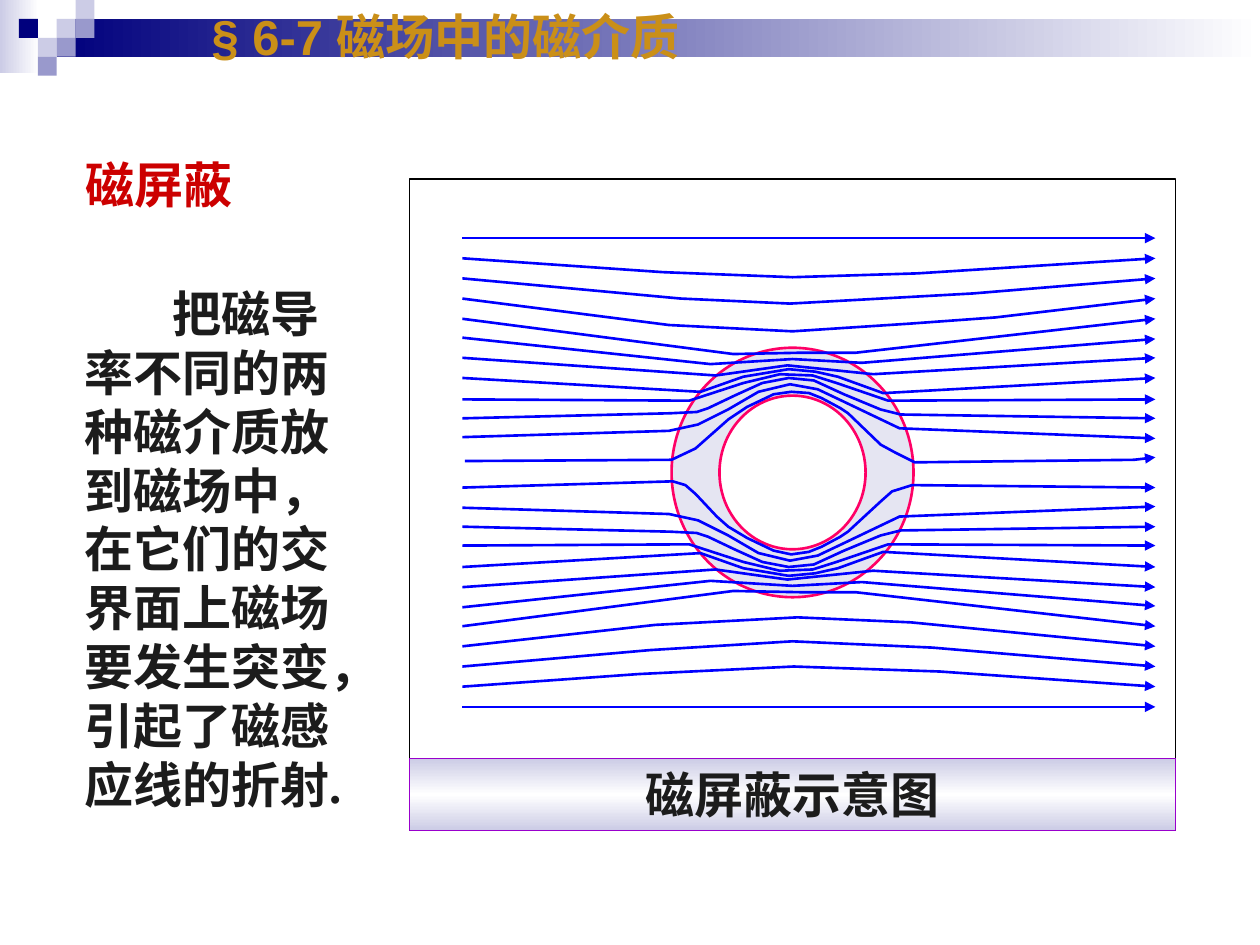
"""Builds a lecture slide on magnetic shielding with a field-line diagram."""
import copy

import pptx
import pptx.dml.color
import pptx.enum.shapes
import pptx.enum.text
import pptx.oxml.ns
import pptx.util
from lxml import etree

WIDTH, HEIGHT = 10, 7.5
HEADING = "§ 6-7 磁场中的磁介质"
TOPIC = "磁屏蔽"
EXPLANATION = "把磁导率不同的两种磁介质放到磁场中，在它们的交界面上磁场要发生突变，引起了磁感应线的折射."
CAPTION = "磁屏蔽示意图"

COLORS = {
    "navy": "00007D", "violet": "9999CC", "lilac": "CCCCE6", "white": "FFFFFF",
    "black": "000000", "red": "CC0000", "ink": "1C1C1C", "gold": "CA8F18",
    "field": "0000FF", "ring": "FF0066", "purple": "9900CC",
}

TILE = 0.15
TILES = [
    (3, 1, "lilac"), (4, 0, "lilac"), (4, 1, "violet"), (2, 2, "lilac"),
    (1, 1, "navy"), (3, 2, "violet"), (2, 3, "violet"),
]

LEFT, RIGHT = 3.67, 9.17
OUTER_LINE = [(LEFT, 1.89), (RIGHT, 1.89)]
MIRRORED_LINES = [
    [(LEFT, 2.53), (5.82, 2.81), (6.35, 2.8), (6.79, 2.8), (RIGHT, 2.53)],
    [(LEFT, 2.68), (5.64, 2.89), (6.29, 2.85), (6.84, 2.88), (RIGHT, 2.69)],
    [(LEFT, 2.84), (5.68, 2.98), (6.25, 2.9), (6.93, 2.97), (RIGHT, 2.84)],
    [(LEFT, 3), (5.56, 3.11), (5.9, 2.99), (6.26, 2.93), (6.47, 2.95),
     (6.65, 2.99), (7.01, 3.12), (RIGHT, 3)],
    [(LEFT, 3.17), (5.47, 3.18), (5.9, 3.04), (6.19, 2.97), (6.45, 2.98),
     (6.64, 3.04), (7.05, 3.18), (RIGHT, 3.17)],
    [(LEFT, 3.32), (5.32, 3.28), (5.53, 3.27), (5.62, 3.24), (5.83, 3.14),
     (6.05, 3.04), (6.26, 3), (6.46, 3.02), (6.7, 3.13), (6.99, 3.25),
     (7.15, 3.29), (RIGHT, 3.32)],
    [(LEFT, 3.47), (5.31, 3.42), (5.54, 3.37), (5.78, 3.25), (6.02, 3.11),
     (6.27, 3.05), (6.49, 3.09), (6.68, 3.18), (7.14, 3.4), (RIGHT, 3.48)],
]
UPPER_LINES = [
    [(LEFT, 2.05), (5.26, 2.16), (6.29, 2.2), (7.28, 2.17), (RIGHT, 2.05)],
    [(LEFT, 2.21), (5.4, 2.37), (6.27, 2.41), (7.72, 2.33), (RIGHT, 2.21)],
    [(LEFT, 2.37), (5.31, 2.58), (6.29, 2.63), (7.21, 2.57), (7.9, 2.52), (RIGHT, 2.37)],
    [(3.69, 3.66), (5.33, 3.65), (5.52, 3.56), (5.69, 3.41), (5.78, 3.33),
     (5.93, 3.23), (6.14, 3.13), (6.28, 3.11), (6.42, 3.12), (6.52, 3.16),
     (6.67, 3.24), (6.73, 3.28), (6.99, 3.53), (7.1, 3.59), (7.26, 3.67),
     (9, 3.65), (RIGHT, 3.63)],
]
LOWER_LINES = [
    [(LEFT, 5.45), (5.07, 5.35), (6.3, 5.29), (7.46, 5.33), (RIGHT, 5.45)],
    [(LEFT, 5.29), (5.16, 5.16), (6.29, 5.09), (7.4, 5.14), (RIGHT, 5.29)],
    [(LEFT, 5.13), (5.2, 4.96), (6.33, 4.9), (7.23, 4.94), (RIGHT, 5.13)],
    [(LEFT, 3.87), (5.34, 3.82), (5.44, 3.85), (5.52, 3.92), (5.69, 4.1),
     (5.78, 4.18), (5.93, 4.27), (6.14, 4.37), (6.28, 4.4), (6.42, 4.38),
     (6.52, 4.34), (6.67, 4.26), (6.73, 4.22), (6.99, 3.98), (7.08, 3.9),
     (7.24, 3.85), (RIGHT, 3.87)],
]

inch = pptx.util.Inches
qn = pptx.oxml.ns.qn
PRESET = pptx.enum.shapes.MSO_SHAPE
ALIGN = pptx.enum.text.PP_ALIGN


def rgb(name):
    return pptx.dml.color.RGBColor.from_string(COLORS[name])


def set_all(target, values):
    for attribute, value in values.items():
        setattr(target, attribute, value)


def stroke(shape, color, width):
    shape.line.color.rgb = rgb(color)
    shape.line.width = pptx.util.Pt(width)


def add_block(slide, box, fills, angle=0, outline=None, preset=PRESET.RECTANGLE):
    block = slide.shapes.add_shape(preset, *map(inch, box))
    block.shadow.inherit = False
    if len(fills) == 1:
        block.fill.solid()
        block.fill.fore_color.rgb = rgb(fills[0])
    else:
        block.fill.gradient()
        block.fill.gradient_angle = angle
        stop_list = block._element.spPr.find(".//" + qn("a:gsLst"))
        for _ in fills[2:]:
            stop_list.append(copy.deepcopy(stop_list[0]))
        for index, (stop, name) in enumerate(zip(block.fill.gradient_stops, fills)):
            stop.color.rgb = rgb(name)
            stop.position = index / (len(fills) - 1)
    if outline:
        stroke(block, *outline)
    else:
        block.line.fill.background()
    return block


def write(holder, text, color, font="Times New Roman", align=ALIGN.LEFT,
          anchor=pptx.enum.text.MSO_ANCHOR.TOP):
    frame = holder.text_frame
    set_all(frame, {
        "text": text, "word_wrap": True, "vertical_anchor": anchor,
        "auto_size": pptx.enum.text.MSO_AUTO_SIZE.NONE,
        "margin_left": inch(0.1), "margin_right": inch(0.1),
        "margin_top": inch(0.05), "margin_bottom": inch(0.05),
    })
    paragraph = frame.paragraphs[0]
    set_all(paragraph, {"alignment": align, "space_before": pptx.util.Pt(0)})
    run_font = paragraph.runs[0].font
    set_all(run_font, {"name": font, "size": pptx.util.Pt(28), "bold": True})
    run_font.color.rgb = rgb(color)
    return paragraph


def place(holder, box):
    set_all(holder, dict(zip(("left", "top", "width", "height"), map(inch, box))))


def add_field_line(slide, points):
    if len(points) == 2:
        (x1, y1), (x2, y2) = points
        field_line = slide.shapes.add_connector(
            pptx.enum.shapes.MSO_CONNECTOR.STRAIGHT, *map(inch, (x1, y1, x2, y2)))
    else:
        hundredths = [(x * 100, y * 100) for x, y in points]
        builder = slide.shapes.build_freeform(*hundredths[0], scale=inch(0.01))
        builder.add_line_segments(hundredths[1:], close=False)
        field_line = builder.convert_to_shape()
        field_line.fill.background()
    stroke(field_line, "field", 1.5)
    etree.SubElement(field_line.line._get_or_add_ln(), qn("a:tailEnd"), type="triangle")
    etree.SubElement(field_line._element.spPr, qn("a:effectLst"))


def add_banner(slide):
    add_block(slide, (0, 0, 0.31, 0.58), ("white", "lilac"), 180)
    add_block(slide, (3 * TILE, TILE, WIDTH - 3 * TILE, 2 * TILE), ("white", "navy"), 180)
    for column, row, color in TILES:
        add_block(slide, (column * TILE, row * TILE, TILE, TILE), (color,))


def add_diagram(slide):
    left, top, width, height, caption_height = 3.25, 1.42, 6.08, 5.17, 0.57
    add_block(slide, (left, top, width, height), ("white",), outline=("black", 0.75))
    shield = add_block(slide, (5.33, 2.76, 1.92, 1.98), ("lilac",),
                       outline=("ring", 1.5), preset=PRESET.DONUT)
    shield.adjustments[0] = 0.198
    shield_color = shield._element.spPr.find(qn("a:solidFill"))[0]
    etree.SubElement(shield_color, qn("a:alpha"), val="50000")
    symmetric = [OUTER_LINE] + MIRRORED_LINES
    reflected = [[(x, HEIGHT - y) for x, y in points] for points in symmetric]
    for points in symmetric + UPPER_LINES + reflected + LOWER_LINES:
        add_field_line(slide, points)
    caption = add_block(slide, (left, top + height - caption_height, width, caption_height),
                        ("lilac", "white", "lilac"), 90, ("purple", 0.75))
    write(caption, CAPTION, "ink", align=ALIGN.CENTER)


def main():
    deck = pptx.Presentation()
    set_all(deck, {"slide_width": inch(WIDTH), "slide_height": inch(HEIGHT)})
    slide = deck.slides.add_slide(deck.slide_layouts[1])
    heading, explanation = slide.placeholders
    add_banner(slide)

    topic = slide.shapes.add_textbox(*map(inch, (0.58, 1.18, 2, 0.57)))
    write(topic, TOPIC, "red")

    place(explanation, (0.57, 2.2, 2.35, 4.31))
    paragraph = write(explanation, EXPLANATION, "ink")
    properties = paragraph._p.get_or_add_pPr()
    set_indent = {"marL": "0", "indent": str(inch(0.7))}
    for key, value in set_indent.items():
        properties.set(key, value)
    etree.SubElement(properties, qn("a:buNone"))

    add_diagram(slide)
    place(heading, (1.58, 0, 6.83, 0.57))
    write(heading, HEADING, "gold", font="Arial")
    slide.shapes._spTree.append(heading._element)
    deck.save("out.pptx")


if __name__ == "__main__":
    main()
